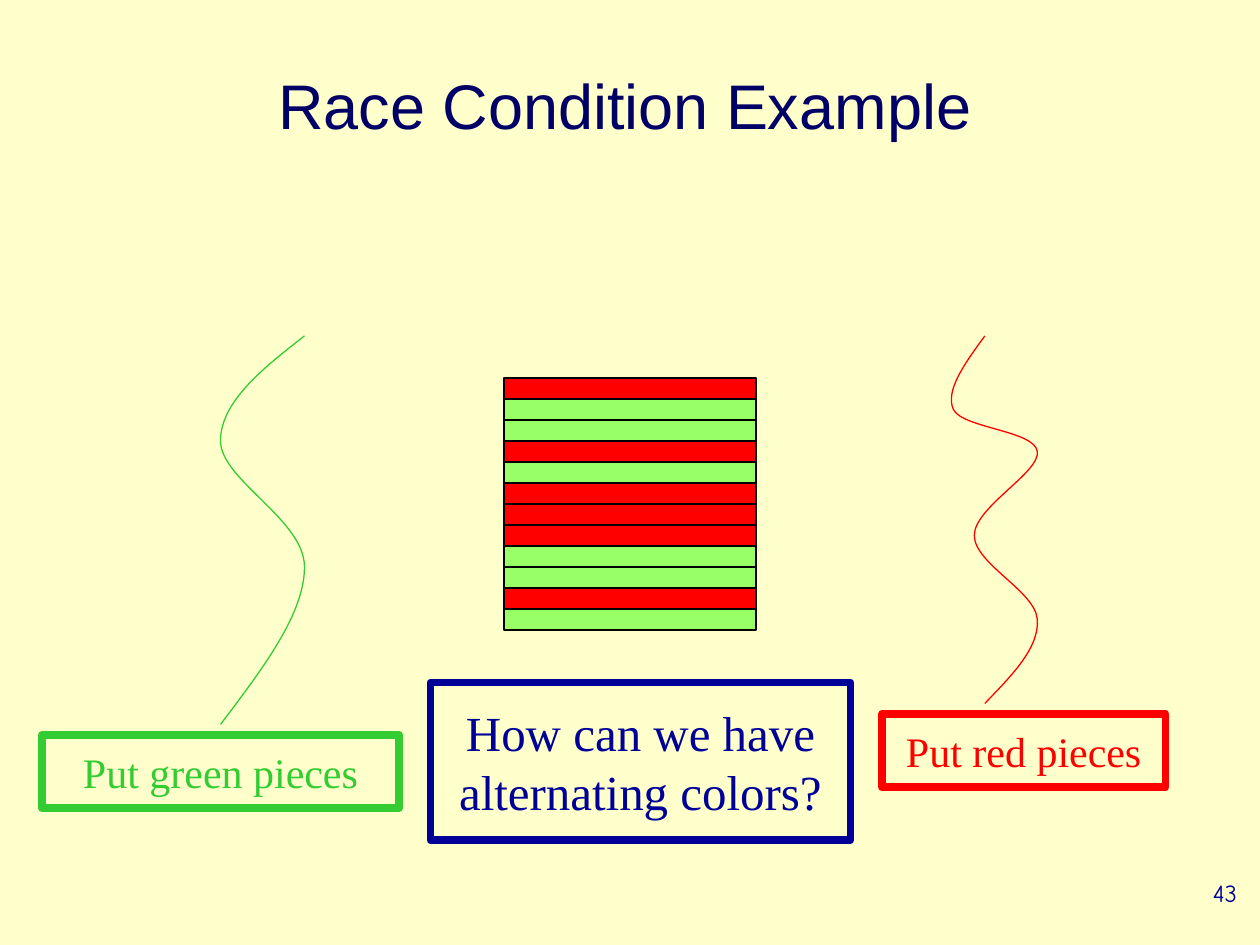
from lxml.etree import SubElement
from pptx import Presentation
from pptx.dml.color import RGBColor
from pptx.enum.shapes import MSO_SHAPE
from pptx.enum.text import MSO_ANCHOR, PP_ALIGN
from pptx.oxml.ns import qn
from pptx.util import Inches, Pt

COLS, ROWS = 120, 90
CELL = Inches(10) // COLS
HUES = {
    "paper": "FFFFCC", "title": "000066", "navy": "000099", "green": "33CC33",
    "red": "FF0000", "lime": "99FF66", "black": "000000",
}
SERIF = "Times New Roman"


class Board:
    """Holds the style and the current slide; lengths are grid cells."""

    def __init__(self, deck):
        self.slide = deck.slides.add_slide(deck.slide_layouts[5])
        self.shapes = self.slide.shapes
        back = self.slide.background.fill
        back.solid()
        back.fore_color.rgb = self.hue("paper")

    def hue(self, name):
        return RGBColor.from_string(HUES[name])

    def spot(self, *cells):
        return [round(CELL * n) for n in cells]

    def text(self, shape, lines, size, font, hue, align=PP_ALIGN.CENTER,
             anchor=MSO_ANCHOR.MIDDLE, wrap=True):
        frame = shape.text_frame
        frame.word_wrap = wrap
        frame.vertical_anchor = anchor
        for i, line in enumerate(lines):
            para = frame.add_paragraph() if i else frame.paragraphs[0]
            para.alignment = align
            run = para.add_run()
            run.text = line
            run.font.size, run.font.name = Pt(size), font
            run.font.color.rgb = self.hue(hue)

    def title(self, text, *cells):
        head = self.shapes.title
        head.left, head.top, head.width, head.height = self.spot(*cells)
        self.text(head, [text], 36, "Arial", "title")
        head.text_frame.paragraphs[0].line_spacing = 0.85

    def number(self, text, *cells):
        box = self.shapes.add_textbox(*self.spot(*cells))
        self.text(box, [text], 14, "Comic Neue", "navy", PP_ALIGN.RIGHT,
                  MSO_ANCHOR.TOP)

    def outline(self, shape, hue, width):
        shape.shadow.inherit = False
        shape.line.color.rgb = self.hue(hue)
        shape.line.width = Pt(width)

    def rect(self, cells, line, width, fill=None):
        shape = self.shapes.add_shape(MSO_SHAPE.RECTANGLE, *self.spot(*cells))
        self.outline(shape, line, width)
        if fill:
            shape.fill.solid()
            shape.fill.fore_color.rgb = self.hue(fill)
        else:
            shape.fill.background()
        return shape

    def label(self, lines, hue, size, *cells):
        shape = self.rect(cells, hue, 4.5)
        self.text(shape, lines, size, SERIF, hue, wrap=False)

    def curve(self, hue, points):
        """Draw cubic curves: a start, then two controls and an end for each."""
        spots = [self.spot(x, y) for x, y in points]
        maker = self.shapes.build_freeform(*spots[0])
        maker.add_line_segments(spots[1:], close=False)
        shape = maker.convert_to_shape()
        self.outline(shape, hue, 0.75)
        shape.fill.background()
        track = shape.element.find(".//" + qn("a:path"))
        steps = track.findall(qn("a:lnTo"))
        for i in range(0, len(steps), 3):
            bend = SubElement(track, qn("a:cubicBezTo"))
            for step in steps[i:i + 3]:
                bend.append(step[0])
                track.remove(step)

    def stack(self, hues, left, base, width, height):
        """Pile up the pieces from the base row."""
        for i, hue in enumerate(hues, 1):
            self.rect((left, base - i * height, width, height),
                      "black", 0.75, hue)


def main():
    deck = Presentation()
    deck.slide_width, deck.slide_height = CELL * COLS, CELL * ROWS
    board = Board(deck)
    board.number("43", 94, 83, 25, 6)
    board.title("Race Condition Example", 12, 5, 95, 11)
    board.curve("green", [
        (29, 32), (25, 35.1), (21, 38.3), (21, 42),
        (21, 45.7), (29, 49.5), (29, 54),
        (29, 58.5), (25, 63.7), (21, 69),
    ])
    board.curve("red", [
        (93.8, 32), (91.9, 34.6), (90, 37.2), (90.8, 39),
        (91.7, 40.8), (98.5, 41), (98.8, 43),
        (99.1, 45), (92.8, 48.3), (92.8, 51),
        (92.8, 53.7), (98.6, 56.3), (98.8, 59),
        (99, 61.7), (96.4, 64.3), (93.8, 67),
    ])
    board.label(["Put green pieces"], "green", 24, 4, 70, 34, 7)
    board.label(["Put red pieces"], "red", 24, 84, 68, 27, 7)
    board.label(["How can we have", "alternating colors?"], "navy", 28,
                41, 65, 40, 15)
    board.stack(["lime", "red", "lime", "lime", "red", "red",
                 "red", "lime", "red", "lime", "lime", "red"], 48, 60, 24, 2)
    deck.save("out.pptx")


if __name__ == "__main__":
    main()
